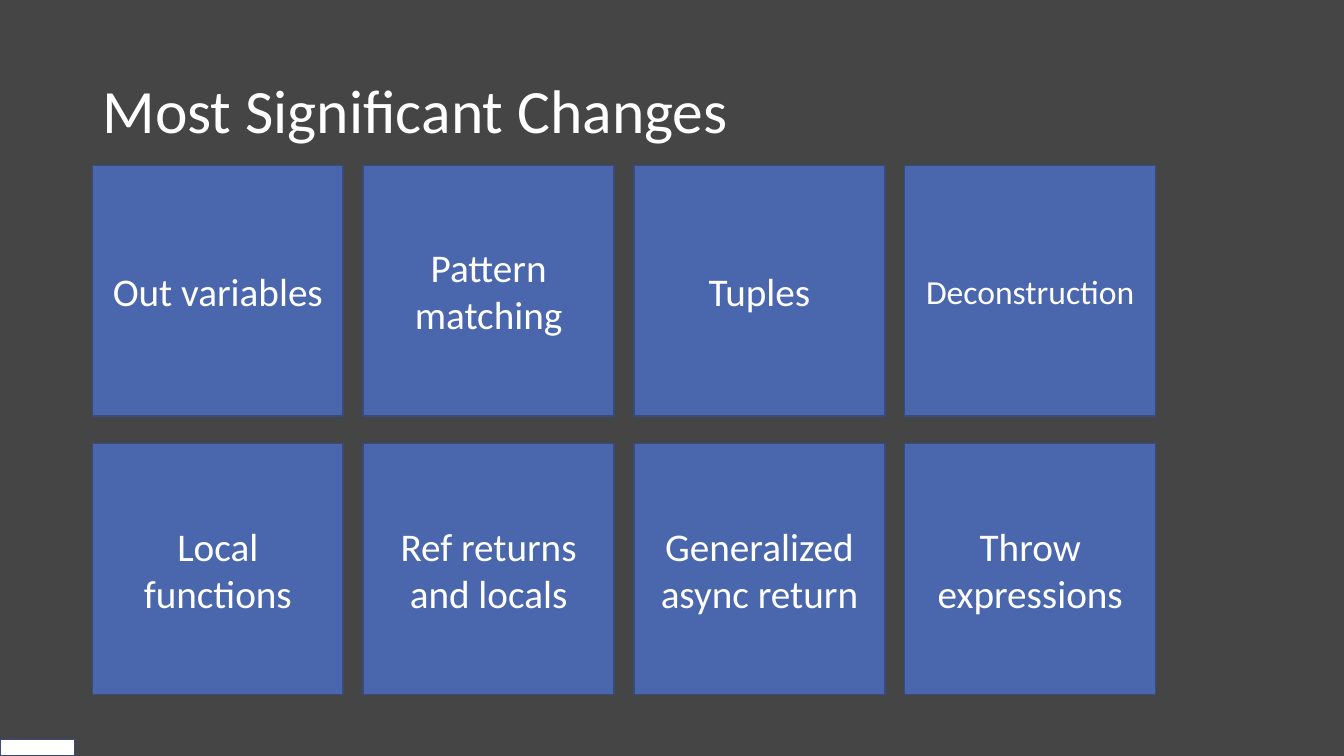
import dataclasses

import pptx
import pptx.dml.color
import pptx.enum.shapes
import pptx.enum.text
import pptx.util

Pt = pptx.util.Pt
RGBColor = pptx.dml.color.RGBColor


@dataclasses.dataclass(frozen=True)
class Theme:
    background: str = "454545"
    text: str = "FFFFFF"
    tile: str = "4A66AC"
    outline: str = "374B7F"
    corner: str = "FFFFFF"
    font: str = "Calibri"
    title_size: int = 44
    tile_size: int = 28
    long_word_size: int = 24


THEME = Theme()

CHANGES = [
    ["Out variables", "Pattern matching", "Tuples", "Deconstruction"],
    ["Local functions", "Ref returns and locals", "Generalized async return", "Throw expressions"],
]


def write_text(shape, text, size, alignment):
    frame = shape.text_frame
    frame.word_wrap = True
    frame.vertical_anchor = pptx.enum.text.MSO_ANCHOR.MIDDLE
    paragraph = frame.paragraphs[0]
    paragraph.alignment = alignment
    run = paragraph.add_run()
    run.text = text
    run.font.name = THEME.font
    run.font.size = Pt(size)
    run.font.color.rgb = RGBColor.from_string(THEME.text)
    return paragraph


def add_rectangle(slide, left, top, width, height, fill):
    shape = slide.shapes.add_shape(
        pptx.enum.shapes.MSO_SHAPE.RECTANGLE, Pt(left), Pt(top), Pt(width), Pt(height)
    )
    shape.shadow.inherit = False
    shape.fill.solid()
    shape.fill.fore_color.rgb = RGBColor.from_string(fill)
    shape.line.color.rgb = RGBColor.from_string(THEME.outline)
    shape.line.width = Pt(1)
    return shape


def place_title(slide, left, top, width, height):
    title = slide.shapes.title
    title.left, title.top, title.width, title.height = Pt(left), Pt(top), Pt(width), Pt(height)
    paragraph = write_text(
        title, "Most Significant Changes", THEME.title_size, pptx.enum.text.PP_ALIGN.LEFT
    )
    paragraph.line_spacing = 0.9
    title.text_frame.auto_size = pptx.enum.text.MSO_AUTO_SIZE.NONE


def add_change_grid(slide, left, top, width, height, tile_side):
    column_step = (width - tile_side) / (len(CHANGES[0]) - 1)
    row_step = (height - tile_side) / (len(CHANGES) - 1)
    for row, names in enumerate(CHANGES):
        for column, name in enumerate(names):
            tile = add_rectangle(
                slide,
                left + column * column_step,
                top + row * row_step,
                tile_side,
                tile_side,
                THEME.tile,
            )
            size = THEME.long_word_size if name == "Deconstruction" else THEME.tile_size
            write_text(tile, name, size, pptx.enum.text.PP_ALIGN.CENTER)


def build_changes_slide(presentation):
    slide = presentation.slides.add_slide(presentation.slide_layouts[5])
    slide.background.fill.solid()
    slide.background.fill.fore_color.rgb = RGBColor.from_string(THEME.background)
    place_title(slide, 66, 28.8, 828, 104.4)
    add_change_grid(slide, 66, 118.1, 759.5, 378, 179.2)
    add_rectangle(slide, 0, 528, 53.3, 12, THEME.corner)


def main():
    presentation = pptx.Presentation()
    presentation.slide_width = Pt(960)
    presentation.slide_height = Pt(540)
    build_changes_slide(presentation)
    presentation.save("out.pptx")


if __name__ == "__main__":
    main()
